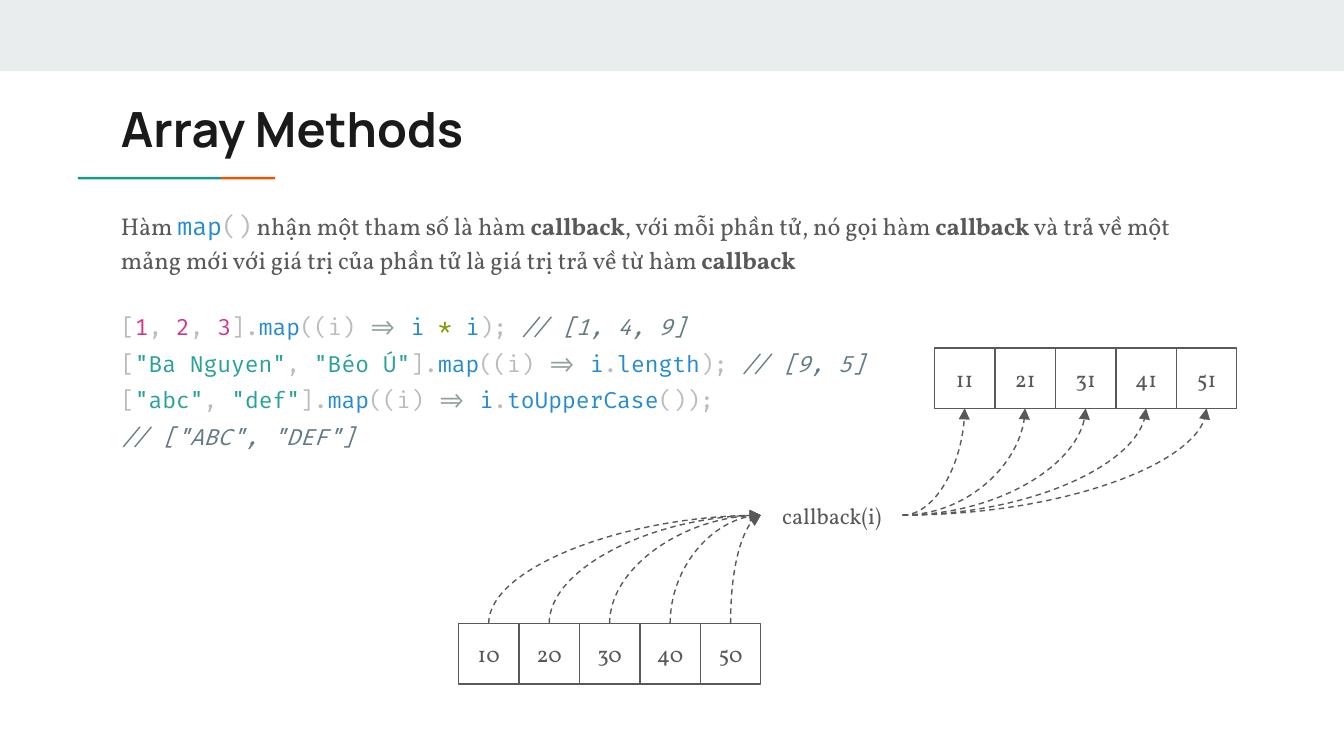
"""Build a slide that explains the map() array method."""
from pptx import Presentation
from pptx.dml.color import RGBColor
from pptx.enum.dml import MSO_LINE
from pptx.enum.shapes import MSO_CONNECTOR, MSO_SHAPE
from pptx.enum.text import MSO_ANCHOR, MSO_AUTO_SIZE, PP_ALIGN
from pptx.oxml.ns import qn
from pptx.util import Pt
from lxml import etree

RECT, CURVE, DASH = MSO_SHAPE.RECTANGLE, MSO_CONNECTOR.CURVE, MSO_LINE.DASH
TOP, MIDDLE = MSO_ANCHOR.TOP, MSO_ANCHOR.MIDDLE
LEFT, CENTER = PP_ALIGN.LEFT, PP_ALIGN.CENTER
NO_FIT = MSO_AUTO_SIZE.NONE

COLORS = {
    "band": "E9EDEE", "teal": "1A9988", "orange": "EB5600",
    "title": "1A1A1A", "text": "595959", "punct": "BBBBBB",
    "name": "268BD2", "number": "D33682", "string": "2AA198",
    "arrow": "93A1A1", "operator": "859900", "comment": "657B83",
}
SERIF, MONO, SANS = "Vollkorn", "Fira Code", "Manrope"
CELL = 32.4

INTRO = [
    ("Hàm ", "text"), ("map", "name"), ("()", "punct"),
    (" nhận một tham số là hàm ", "text"), ("callback", "bold"),
    (", với mỗi phần tử, nó gọi hàm ", "text"), ("callback", "bold"),
    (" và trả về một mảng mới với giá trị của phần tử là giá trị trả về từ hàm ", "text"),
    ("callback", "bold"),
]
MAP_CALL = [("].", "punct"), ("map", "name"), ("((i) ", "punct"), ("=> ", "arrow")]
CODE = [
    [("[", "punct"), ("1", "number"), (", ", "punct"), ("2", "number"),
     (", ", "punct"), ("3", "number"), *MAP_CALL, ("i ", "name"),
     ("* ", "operator"), ("i", "name"), ("); ", "punct"),
     ("// [1, 4, 9]", "comment")],
    [("[", "punct"), ('"Ba Nguyen"', "string"), (", ", "punct"),
     ('"Béo Ú"', "string"), *MAP_CALL, ("i", "name"), (".", "punct"),
     ("length", "name"), ("); ", "punct"), ("// [9, 5]", "comment")],
    [("[", "punct"), ('"abc"', "string"), (", ", "punct"),
     ('"def"', "string"), *MAP_CALL, ("i", "name"), (".", "punct"),
     ("toUpperCase", "name"), ("());", "punct")],
    [('// ["ABC", "DEF"]', "comment")],
]


def add_run(p, text, size=12, font=SERIF, color="text", bold=False, italic=False):
    """Append a formatted run to a paragraph."""
    r = p.add_run()
    r.text = text
    r.font.size, r.font.name = Pt(size), font
    r.font.bold, r.font.italic = bold, italic
    r.font.color.rgb = RGBColor.from_string(COLORS[color])


class Deck:
    """Hold the current slide and the style of its elements."""

    def __init__(self, prs):
        """Add a title and content slide."""
        self.s = prs.slides.add_slide(prs.slide_layouts[1])

    def frame(self, sp, anchor):
        """Prepare the text frame of a shape."""
        tf = sp.text_frame
        tf.word_wrap, tf.auto_size, tf.vertical_anchor = True, NO_FIT, anchor
        tf.margin_left = tf.margin_right = Pt(7.2)
        tf.margin_top = tf.margin_bottom = Pt(7.2)
        return tf

    def place(self, sp, x, y, w, h):
        """Move a placeholder and return its text frame."""
        sp.left, sp.top, sp.width, sp.height = Pt(x), Pt(y), Pt(w), Pt(h)
        return self.frame(sp, TOP)

    def title(self, text):
        """Fill the title placeholder."""
        p = self.place(self.s.shapes.title, 57.6, 46, 605.5, 42.5).paragraphs[0]
        p.alignment = LEFT
        add_run(p, text, size=26, font=SANS, color="title", bold=True)

    def body(self, intro, code):
        """Fill the body placeholder with the explanation and the code."""
        tf = self.place(self.s.placeholders[1], 57.6, 103.7, 605.5, 282)
        for i, tokens in enumerate([intro, *code]):
            p = tf.paragraphs[0] if i == 0 else tf.add_paragraph()
            pPr = p._p.get_or_add_pPr()
            pPr.set("marL", "0")
            pPr.set("indent", "0")
            etree.SubElement(pPr, qn("a:buNone"))
            p.line_spacing = 1.36 if i else 1.15
            p.space_before = Pt(16 if i == 1 else 0)
            for text, kind in tokens:
                bold = kind == "bold"
                prose = bold or kind == "text"
                add_run(p, text, size=12 if i else 13,
                        font=SERIF if prose else MONO,
                        color="text" if prose else kind,
                        bold=bold, italic=kind == "comment")

    def bar(self, x, y, w, h, color):
        """Draw a filled bar without outline."""
        sp = self.s.shapes.add_shape(RECT, Pt(x), Pt(y), Pt(w), Pt(h))
        sp.shadow.inherit = False
        sp.fill.solid()
        sp.fill.fore_color.rgb = RGBColor.from_string(COLORS[color])
        sp.line.fill.background()

    def label(self, sp, text):
        """Centre a text in a shape."""
        p = self.frame(sp, MIDDLE).paragraphs[0]
        p.alignment = CENTER
        add_run(p, text)

    def text(self, x, y, w, h, text):
        """Add a centred text box."""
        self.label(self.s.shapes.add_textbox(Pt(x), Pt(y), Pt(w), Pt(h)), text)

    def stroke(self, line):
        """Apply the common line style."""
        line.color.rgb = RGBColor.from_string(COLORS["text"])
        line.width = Pt(0.75)

    def array(self, x, y, values):
        """Draw a row of cells and return their centre positions."""
        for i, value in enumerate(values):
            sp = self.s.shapes.add_shape(
                RECT, Pt(x + i * CELL), Pt(y), Pt(CELL), Pt(CELL))
            sp.shadow.inherit = False
            sp.fill.background()
            self.stroke(sp.line)
            self.label(sp, str(value))
        return [x + (i + 0.5) * CELL for i in range(len(values))]

    def curve(self, x1, y1, x2, y2, upward=False):
        """Draw a dashed arrow that leaves sideways, or upward by a quarter turn."""
        if upward:
            cx, cy, w, h = (x1 + x2) / 2, (y1 + y2) / 2, y1 - y2, x2 - x1
            x1, y1, x2, y2 = cx - w / 2, cy - h / 2, cx + w / 2, cy + h / 2
        c = self.s.shapes.add_connector(CURVE, Pt(x1), Pt(y1), Pt(x2), Pt(y2))
        spPr = c._element.spPr
        spPr.find(qn("a:prstGeom")).set("prst", "curvedConnector2")
        if upward:
            spPr.find(qn("a:xfrm")).set("rot", "16200000")
        self.stroke(c.line)
        c.line.dash_style = DASH
        etree.SubElement(spPr.find(qn("a:ln")), qn("a:tailEnd"), type="triangle")
        etree.SubElement(spPr, qn("a:effectLst"))


def main():
    """Build and save the slide."""
    prs = Presentation()
    prs.slide_width, prs.slide_height = Pt(720), Pt(405)
    deck = Deck(prs)
    deck.bar(0, 0, 720, 38.2, "band")
    deck.bar(41.8, 94.8, 76.6, 1.4, "teal")
    deck.bar(118.4, 94.8, 29, 1.4, "orange")
    deck.title("Array Methods")
    deck.body(INTRO, CODE)

    in_y, out_y, mid_y = 334, 186.4, 276
    call_x, call_w = 407.6, 76
    inputs = deck.array(245.6, in_y, range(10, 60, 10))
    deck.text(call_x, mid_y - CELL / 2, call_w, CELL, "callback(i)")
    outputs = deck.array(500.6, out_y, range(11, 61, 10))
    for x in inputs:
        deck.curve(x, in_y, call_x, mid_y, upward=True)
    for x in outputs:
        deck.curve(call_x + call_w, mid_y, x, out_y + CELL)
    prs.save("out.pptx")


if __name__ == "__main__":
    main()
